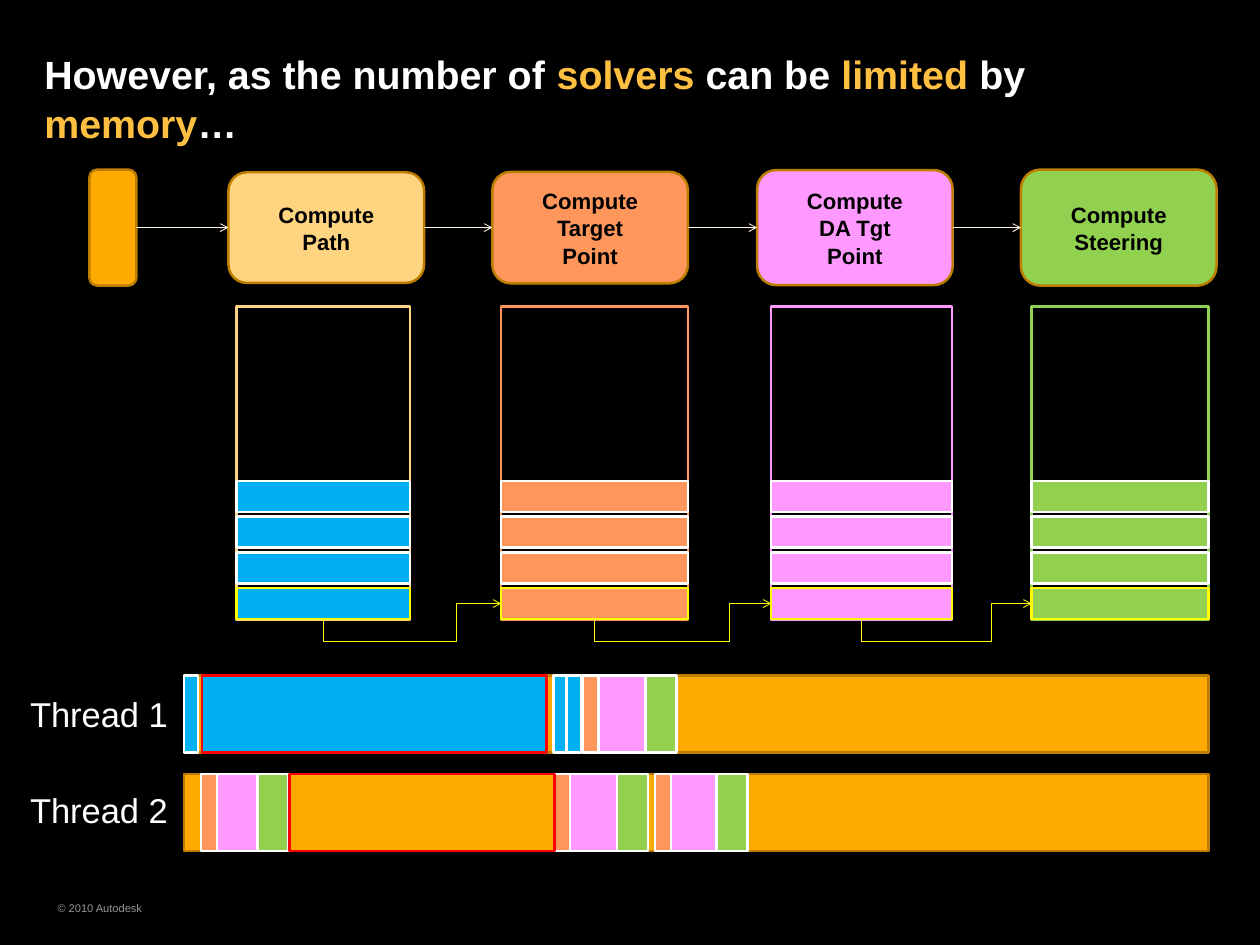
from dataclasses import dataclass
from typing import Optional

from lxml import etree
from pptx import Presentation
from pptx.dml.color import RGBColor
from pptx.enum import shapes, text
from pptx.oxml.ns import qn
from pptx.util import Inches, Pt


@dataclass(frozen=True)
class Theme:
    font: str = "Arial"
    back: str = "000000"
    light: str = "FFFFFF"
    accent: str = "FFBF40"
    muted: str = "969696"
    busy: str = "FFAA00"
    edge: str = "BD7E00"
    flow: str = "FFF6E6"
    active: str = "FFFF00"
    stall: str = "FF0000"
    title_size: int = 32
    label_size: int = 28
    box_size: int = 18
    footer_size: int = 9
    spacing: float = 1.04
    border: float = 2
    thin: float = 0.75


@dataclass(frozen=True)
class Stage:
    lines: tuple[str, ...]
    color: str
    job_color: str
    box_left: float
    box_height: float
    queue_left: float
    queue_width: float
    job_width: float
    lane: Optional[float] = None  # where the line to the next queue climbs


@dataclass(frozen=True)
class Thread:
    label: str
    label_top: float
    top: float
    jobs: tuple[tuple[int, float], ...]  # stage number, left
    stall: tuple[float, float]  # left, width
    stall_fill: Optional[str] = None


T = Theme()
PATH, TARGET, DA, STEER = range(4)
BLUE = "00B0F0"
STAGES = (
    Stage(("Compute", "Path"), "FFD480", BLUE, 2.58, 1.25, 2.67, 1.96, 0.16, 5.15),
    Stage(("Compute", "Target", "Point"), "FF965C", "FF965C", 5.56, 1.26, 5.66, 2.11, 0.18, 8.24),
    Stage(("Compute", "DA Tgt", "Point"), "FF99FF", "FF99FF", 8.55, 1.3, 8.71, 2.04, 0.53, 11.2),
    Stage(("Compute", "Steering"), "92D050", "92D050", 11.53, 1.31, 11.65, 2, 0.35),
)
THREADS = (
    Thread("Thread 1", 7.76, 7.63,
           ((DA, 6.76), (STEER, 7.29), (TARGET, 6.58), (PATH, 6.25), (PATH, 6.4), (PATH, 2.08)),
           (2.28, 3.89), BLUE),
    Thread("Thread 2", 8.84, 8.74,
           ((DA, 2.41), (STEER, 2.91), (TARGET, 2.27), (DA, 6.44), (DA, 7.58),
            (STEER, 8.09), (STEER, 6.97), (TARGET, 6.26), (TARGET, 7.4)),
           (3.27, 2.99)),
)
TITLE = (
    ("However, as the number of ", T.light), ("solvers", T.accent), (" can be ", T.light),
    ("limited", T.accent), (" by ", T.light), ("memory", T.accent), ("…", T.light),
)
FLOW_Y, BOX_WIDTH = 2.57, 2.21
QUEUE_TOP, QUEUE_HEIGHT = 3.46, 3.54
JOBS, FIRST_JOB, LAST_JOB, JOB_HEIGHT = 4, 5.43, 6.64, 0.35
BAR_LEFT, BAR_WIDTH, BAR_HEIGHT = 2.08, 11.57, 0.87
DROP = 0.25


def set_values(target: object, values: dict) -> None:
    for name, value in values.items():
        setattr(target, name, value)


def setup_frame(tf, anchor, side: float = 0, end: float = 0) -> None:
    set_values(tf, {
        "word_wrap": True, "auto_size": text.MSO_AUTO_SIZE.NONE, "vertical_anchor": anchor,
        "margin_left": Inches(side), "margin_right": Inches(side),
        "margin_top": Inches(end), "margin_bottom": Inches(end),
    })


def add_run(p, words: str, size: float, color: str, bold: bool = False) -> None:
    r = p.add_run()
    r.text = words
    set_values(r.font, {"name": T.font, "size": Pt(size), "bold": bold})
    r.font.color.rgb = RGBColor.from_string(color)


def add_block(slide, left: float, top: float, width: float, height: float, line: str,
              fill: Optional[str] = None, kind=shapes.MSO_SHAPE.RECTANGLE):
    sp = slide.shapes.add_shape(kind, *map(Inches, (left, top, width, height)))
    sp.shadow.inherit = False
    if fill:
        sp.fill.solid()
        sp.fill.fore_color.rgb = RGBColor.from_string(fill)
    else:
        sp.fill.background()
    sp.line.color.rgb = RGBColor.from_string(line)
    sp.line.width = Pt(T.border)
    return sp


def add_arrow(slide, kind, begin, begin_side: int, end, end_side: int, color: str):
    line = slide.shapes.add_connector(kind, 0, 0, 0, 0)
    line.begin_connect(begin, begin_side)
    line.end_connect(end, end_side)
    line.line.color.rgb = RGBColor.from_string(color)
    line.line.width = Pt(T.thin)
    sp_pr = line.element.spPr
    etree.SubElement(sp_pr.find(qn("a:ln")), qn("a:tailEnd"), type="arrow")
    etree.SubElement(sp_pr, qn("a:effectLst"))
    return line


def add_handover(slide, stage: Stage, following: Stage, begin, end) -> None:
    """Lead from below one queue, up its lane, into the side of the next."""
    line = add_arrow(slide, shapes.MSO_CONNECTOR.ELBOW, begin, 2, end, 1, T.active)
    start = stage.queue_left + stage.queue_width / 2
    run, rise = following.queue_left - start, JOB_HEIGHT / 2
    middle = LAST_JOB + JOB_HEIGHT - rise / 2
    set_values(line, {
        "left": Inches(start + run / 2 - rise / 2), "top": Inches(middle - run / 2),
        "width": Inches(rise), "height": Inches(run),
    })
    sp_pr = line.element.spPr
    set_turn = sp_pr.find(qn("a:xfrm")).set
    for name, value in {"rot": "5400000", "flipH": "1", "flipV": "1"}.items():
        set_turn(name, value)
    geometry = sp_pr.find(qn("a:prstGeom"))
    geometry.set("prst", "bentConnector4")
    guides = geometry.find(qn("a:avLst"))
    for i, part in enumerate((-DROP / rise, (stage.lane - start) / run), 1):
        etree.SubElement(guides, qn("a:gd"), name=f"adj{i}", fmla=f"val {round(part * 100000)}")


def add_label(slide, words: str, left: float, top: float, width: float, height: float,
              size: float, color: str, anchor, side: float = 0, end: float = 0) -> None:
    box = slide.shapes.add_textbox(*map(Inches, (left, top, width, height)))
    setup_frame(box.text_frame, anchor, side, end)
    add_run(box.text_frame.paragraphs[0], words, size, color)


def add_title(slide) -> None:
    title = slide.shapes.title
    set_values(title, {"left": Inches(0.5), "top": Inches(0.21),
                       "width": Inches(13.24), "height": Inches(1.78)})
    setup_frame(title.text_frame, text.MSO_ANCHOR.MIDDLE)
    p = title.text_frame.paragraphs[0]
    set_values(p, {"alignment": text.PP_ALIGN.LEFT, "line_spacing": T.spacing})
    for words, color in TITLE:
        add_run(p, words, T.title_size, color, bold=True)


def add_pipeline(slide) -> None:
    rounded = shapes.MSO_SHAPE.ROUNDED_RECTANGLE
    previous = add_block(slide, 1.01, FLOW_Y - 1.31 / 2, 0.53, 1.31, T.edge, T.busy, rounded)
    for stage in STAGES:
        box = add_block(slide, stage.box_left, FLOW_Y - stage.box_height / 2, BOX_WIDTH,
                        stage.box_height, T.edge, stage.color, rounded)
        tf = box.text_frame
        setup_frame(tf, text.MSO_ANCHOR.MIDDLE, 0.14, 0.07)
        for i, words in enumerate(stage.lines):
            p = tf.add_paragraph() if i else tf.paragraphs[0]
            set_values(p, {"alignment": text.PP_ALIGN.CENTER, "line_spacing": T.spacing})
            add_run(p, words, T.box_size, T.back, bold=True)
        add_arrow(slide, shapes.MSO_CONNECTOR.STRAIGHT, previous, 3, box, 1, T.flow)
        previous = box


def add_queues(slide) -> None:
    step = (LAST_JOB - FIRST_JOB) / (JOBS - 1)
    active = []
    for stage in STAGES:
        left, width = stage.queue_left, stage.queue_width
        add_block(slide, left, QUEUE_TOP, width, QUEUE_HEIGHT, stage.color)
        for i in range(JOBS):
            last = i == JOBS - 1
            job = add_block(slide, left, FIRST_JOB + i * step, width, JOB_HEIGHT,
                            T.active if last else T.light, stage.job_color)
        active.append(job)
    for i in range(len(STAGES) - 1):
        add_handover(slide, *STAGES[i:i + 2], *active[i:i + 2])


def add_thread(slide, thread: Thread) -> None:
    add_label(slide, thread.label, 0.2, thread.label_top, 1.87, 0.62, T.label_size, T.light,
              text.MSO_ANCHOR.TOP, 0.14, 0.07)
    add_block(slide, BAR_LEFT, thread.top, BAR_WIDTH, BAR_HEIGHT, T.edge, T.busy)
    for number, left in thread.jobs:
        stage = STAGES[number]
        add_block(slide, left, thread.top, stage.job_width, BAR_HEIGHT, T.light, stage.job_color)
    left, width = thread.stall
    add_block(slide, left, thread.top, width, BAR_HEIGHT, T.stall, thread.stall_fill)


def main() -> None:
    prs = Presentation()
    set_values(prs, {"slide_width": Inches(14.23), "slide_height": Inches(10.67)})
    slide = prs.slides.add_slide(prs.slide_layouts[5])
    slide.background.fill.solid()
    slide.background.fill.fore_color.rgb = RGBColor.from_string(T.back)
    add_title(slide)
    add_pipeline(slide)
    add_queues(slide)
    for thread in THREADS:
        add_thread(slide, thread)
    add_label(slide, "© 2010 Autodesk", 0.65, 10.14, 3.17, 0.22, T.footer_size, T.muted,
              text.MSO_ANCHOR.MIDDLE)
    prs.save("out.pptx")


if __name__ == "__main__":
    main()
